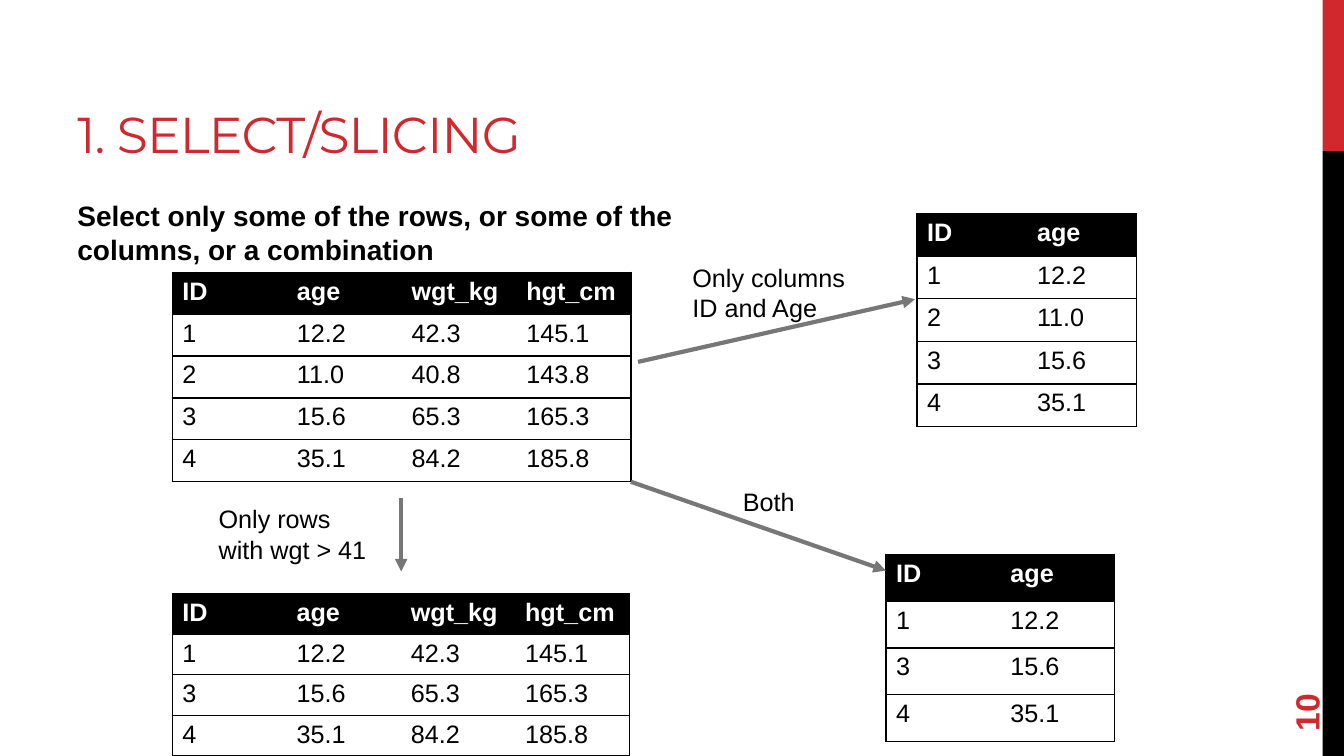
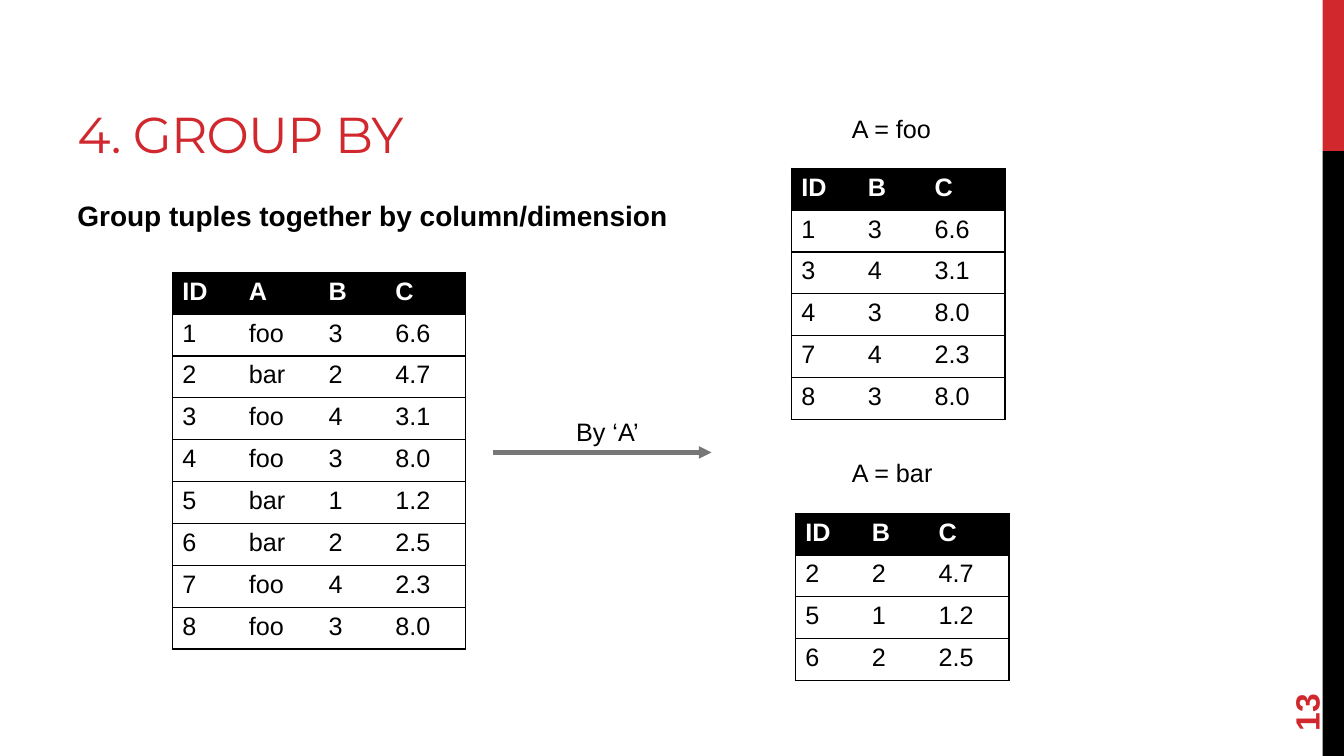
from lxml import etree
from pptx import Presentation
from pptx import util as u
from pptx.dml.color import RGBColor
from pptx.enum import shapes, text
from pptx.oxml import ns

Cm, Pt = u.Cm, u.Pt

RED = RGBColor(0xD1, 0x28, 0x2E)
BLACK = RGBColor(0x00, 0x00, 0x00)
WHITE = RGBColor(0xFF, 0xFF, 0xFF)
GREY = RGBColor(0x77, 0x77, 0x77)

PLAIN_TABLE_STYLE = "{2D5ABB26-0587-4C30-8999-92F81FD0307C}"

TITLE = dict(name="Montserrat", size=Pt(36), color=RED)
LEAD = dict(name="Arial", size=Pt(20), color=BLACK, bold=True)
NUMBER = dict(name="Arial", size=Pt(24), color=RED, bold=True)
LABEL = dict(name="Arial", size=Pt(18), color=BLACK)
HEADER = dict(LABEL, color=WHITE, bold=True)

MEASURES = [
    ["ID", "age", "wgt_kg", "hgt_cm"],
    ["1", "12.2", "42.3", "145.1"],
    ["2", "11.0", "40.8", "143.8"],
    ["3", "15.6", "65.3", "165.3"],
    ["4", "35.1", "84.2", "185.8"],
]
TUPLES = [
    ["ID", "A", "B", "C"],
    ["1", "foo", "3", "6.6"],
    ["2", "bar", "2", "4.7"],
    ["3", "foo", "4", "3.1"],
    ["4", "foo", "3", "8.0"],
    ["5", "bar", "1", "1.2"],
    ["6", "bar", "2", "2.5"],
    ["7", "foo", "4", "2.3"],
    ["8", "foo", "3", "8.0"],
]


def where(rows, keep):
    """Keep the header and the rows that pass the test."""
    return rows[:1] + [row for row in rows[1:] if keep(row)]


def columns(rows, *picked):
    return [[row[i] for i in picked] for row in rows]


def style_font(font, style):
    for key, value in style.items():
        if key == "color":
            font.color.rgb = value
        else:
            setattr(font, key, value)


def border(cell, side):
    line = etree.SubElement(cell._tc.get_or_add_tcPr(), ns.qn(f"a:ln{side}"), w=str(Pt(1)))
    fill = etree.SubElement(line, ns.qn("a:solidFill"))
    etree.SubElement(fill, ns.qn("a:srgbClr"), val=str(BLACK))


class Deck:
    def __init__(self):
        self.prs = Presentation()
        self.prs.slide_width, self.prs.slide_height = Cm(33.87), Cm(19.05)
        self.slide = None

    def start(self, title, lead, number, lead_width):
        """Add a slide with its side bands, title, lead text and number."""
        self.slide = self.prs.slides.add_slide(self.prs.slide_layouts[6])
        self.band(0, 3.81, RED)
        self.band(3.81, 15.24, BLACK)
        heading = self.words(title, 1.7, 0.43, 21.44, 3.81, TITLE,
                             anchor=text.MSO_ANCHOR.BOTTOM)
        run = heading.text_frame.paragraphs[0].runs[0]
        run._r.get_or_add_rPr().set("spc", "-60")
        self.words(lead, 1.7, 4.88, lead_width, 12.14, LEAD)
        page = self.words(number, 31.09, 16.18, 3.66, 1.35, NUMBER,
                          anchor=text.MSO_ANCHOR.MIDDLE)
        page.rotation = 270

    def band(self, top, height, color):
        band = self.slide.shapes.add_shape(
            shapes.MSO_SHAPE.RECTANGLE, Cm(33.33), Cm(top), Cm(0.54), Cm(height))
        band.shadow.inherit = False
        band.fill.solid()
        band.fill.fore_color.rgb = color
        band.line.fill.background()

    def words(self, content, left, top, width, height, style=LABEL, wrap=True,
              anchor=text.MSO_ANCHOR.TOP):
        box = self.slide.shapes.add_textbox(Cm(left), Cm(top), Cm(width), Cm(height))
        frame = box.text_frame
        frame.word_wrap, frame.vertical_anchor = wrap, anchor
        frame.text = content
        for paragraph in frame.paragraphs:
            for run in paragraph.runs:
                style_font(run.font, style)
        return box

    def table(self, rows, left, top, widths, height):
        """Draw rows ruled horizontally and framed, under a black header."""
        last = len(widths) - 1
        table = self.slide.shapes.add_table(
            len(rows), len(widths), Cm(left), Cm(top), Cm(sum(widths)), Cm(height)).table
        table._tbl.tblPr.find(ns.qn("a:tableStyleId")).text = PLAIN_TABLE_STYLE
        table.horz_banding = False
        for column, width in zip(table.columns, widths):
            column.width = Cm(width)
        for r, row in enumerate(rows):
            table.rows[r].height = Cm(height / len(rows))
            for c, value in enumerate(row):
                cell = table.cell(r, c)
                cell.text = value
                style_font(cell.text_frame.paragraphs[0].runs[0].font,
                           LABEL if r else HEADER)
                for side in "L" * (c == 0) + "R" * (c == last) + "TB":
                    border(cell, side)
                cell.fill.solid()
                cell.fill.fore_color.rgb = WHITE if r else BLACK

    def arrow(self, *ends):
        arrow = self.slide.shapes.add_connector(
            shapes.MSO_CONNECTOR.STRAIGHT, *(Cm(end) for end in ends))
        arrow.line.color.rgb = GREY
        arrow.line.width = Pt(3)
        etree.SubElement(arrow.line._get_or_add_ln(), ns.qn("a:tailEnd"), type="triangle")
        etree.SubElement(arrow._element.spPr, ns.qn("a:effectLst"))


def select_slide(deck):
    deck.start("1. SELECT/SLICING",
               "Select only some of the rows, or some of the columns, or a combination",
               "10", 17.07)
    heavy = where(MEASURES, lambda row: float(row[2]) > 41)
    deck.table(MEASURES, 4.34, 6.86, [2.89] * 4, 5.28)
    deck.table(columns(MEASURES, 0, 1), 23.11, 5.38, [2.77] * 2, 5.37)
    deck.table(heavy, 4.34, 14.96, [2.88] * 4, 4.09)
    deck.table(columns(heavy, 0, 1), 22.33, 13.97, [2.88] * 2, 4.72)
    deck.words("Only columns\nID and Age", 17.2, 6.48, 4.39, 1.8, wrap=False)
    deck.words("Only rows with wgt > 41", 5.26, 12.57, 4.5, 1.8)
    deck.words("Both", 18.47, 12.14, 1.83, 1.02, wrap=False)
    deck.arrow(10.11, 12.55, 10.11, 14.4)
    deck.arrow(15.9, 12.14, 22.33, 14.38)
    deck.arrow(16.08, 9.12, 23.06, 7.54)


def group_slide(deck):
    deck.start("4. GROUP BY", "Group tuples together by column/dimension", "13", 28.22)
    deck.table(TUPLES, 4.34, 6.86, [1.68, 2.01, 1.68, 2.03], 9.5)
    for group, left, top, height, label_top in (("foo", 19.94, 4.24, 6.33, 2.72),
                                                ("bar", 20.04, 12.93, 4.22, 11.4)):
        members = where(TUPLES, lambda row: row[1] == group)
        deck.table(columns(members, 0, 2, 3), left, top, [1.68, 1.68, 2.03], height)
        deck.words(f"A = {group}", 21.22, label_top, 2.54, 1.02, wrap=False)
    deck.words("By ‘A’", 14.27, 10.36, 3.12, 1.02)
    deck.arrow(12.42, 11.4, 17.93, 11.4)


def main():
    deck = Deck()
    select_slide(deck)
    group_slide(deck)
    deck.prs.save("out.pptx")


if __name__ == "__main__":
    main()
